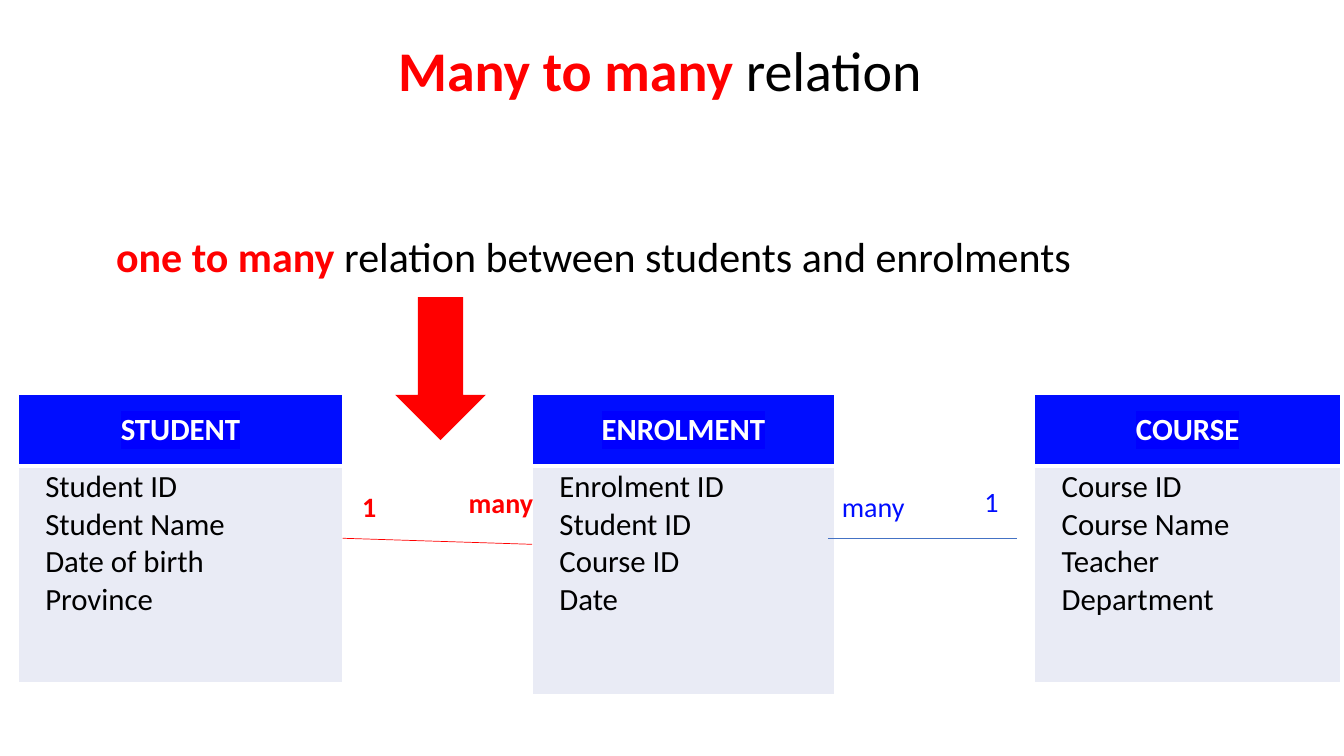
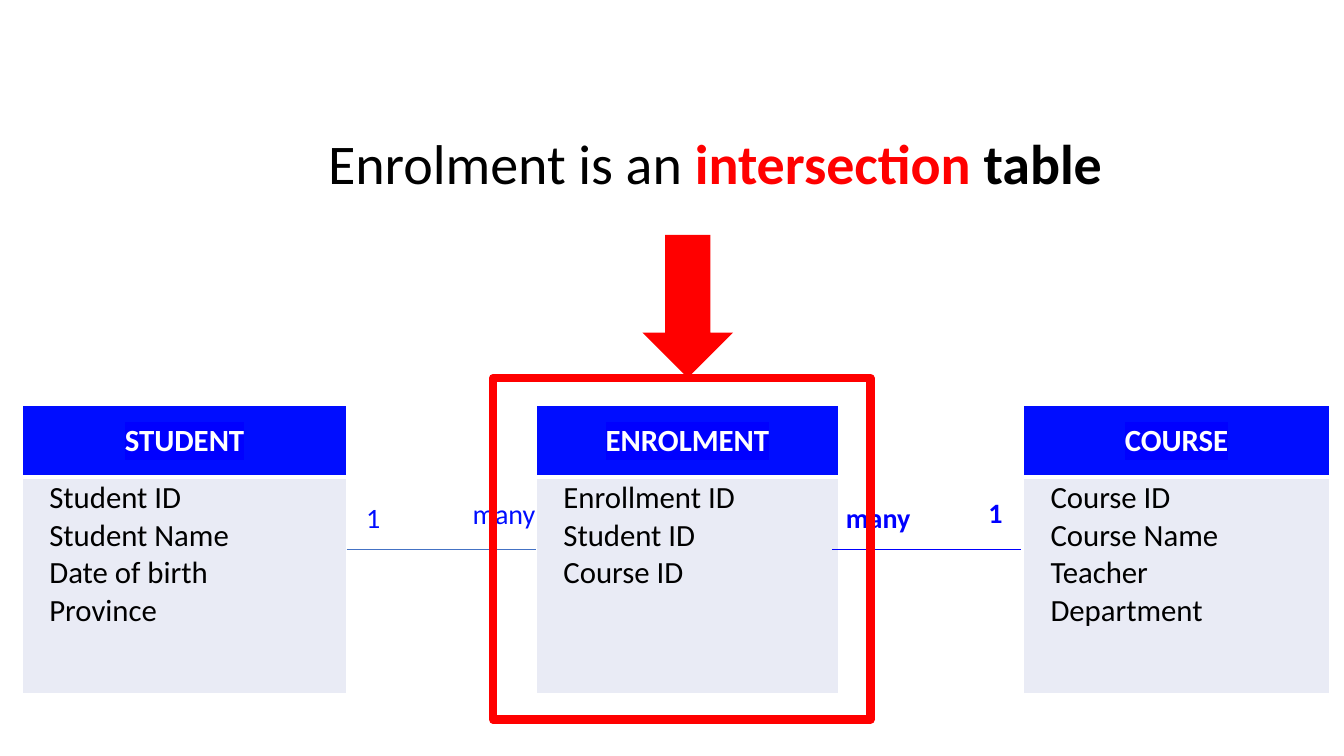
from lxml.etree import SubElement
from pptx import Presentation
from pptx.dml.color import RGBColor
from pptx.enum.shapes import MSO_CONNECTOR as Connector, MSO_SHAPE as Preset
from pptx.enum.text import MSO_ANCHOR as Anchor, MSO_AUTO_SIZE as AutoSize, PP_ALIGN as Align
from pptx.oxml.ns import qn
from pptx.util import Inches, Pt

WIDTH, HEIGHT = Inches(13.33), Inches(7.5)
TITLE_ONLY = 5

RED = RGBColor(0xFF, 0x00, 0x00)
BLACK = RGBColor(0x00, 0x00, 0x00)
WHITE = RGBColor(0xFF, 0xFF, 0xFF)
BLUE = RGBColor(0x00, 0x0D, 0xFF)
PURE_BLUE = RGBColor(0x00, 0x00, 0xFF)
STEEL = RGBColor(0x44, 0x72, 0xC4)
PALE = RGBColor(0xE9, 0xEB, 0xF5)

TITLE = {"size": Pt(40), "name": "Calibri", "bold": False}
STATEMENT = {**TITLE, "size": Pt(30)}
FIELD = {**TITLE, "size": Pt(22)}
HEADING = {**FIELD, "bold": True}
LABEL = {**TITLE, "size": Pt(20)}

HEADER_CELL = {"margin_left": Inches(0.07), "margin_right": Inches(0.07),
               "margin_top": Inches(0.03), "margin_bottom": Inches(0.03),
               "vertical_anchor": Anchor.MIDDLE}
FIELD_CELL = {**HEADER_CELL, "margin_left": Inches(0.27), "vertical_anchor": Anchor.TOP}

TABLE_TOP, HEADER_HEIGHT, FIELDS_HEIGHT = 52.13, 9.47, 28.67
LINK_TOP, LINK_WIDTH = 71.2, 14.1
LABEL_HEIGHT, MANY_WIDTH, ONE_WIDTH = 5.87, 6.75, 3.15
ARROW_WIDTH, ARROW_HEIGHT = 6.75, 18.93
TITLE_HEIGHT = 10.3

STUDENT_FIELDS = ["Student ID", "Student Name", "Date of birth", "Province"]
COURSE_FIELDS = ["Course ID", "Course Name", "Teacher", "Department"]


def across(share):
    return round(WIDTH * share / 100)


def down(share):
    return round(HEIGHT * share / 100)


def place(left, top, width, height):
    return across(left), down(top), across(width), down(height)


def apply(target, values):
    for name, value in values.items():
        setattr(target, name, value)


def write(paragraph, runs, values, align=Align.LEFT):
    paragraph.alignment = align
    for text, color, *changes in runs:
        run = paragraph.add_run()
        run.text = text
        apply(run.font, values)
        for change in changes:
            apply(run.font, change)
        run.font.color.rgb = color


def highlight(run, color):
    properties = run.font._element
    mark = SubElement(properties, qn("a:highlight"))
    SubElement(mark, qn("a:srgbClr"), val=str(color))
    properties.find(qn("a:latin")).addprevious(mark)


def add_title(slide, box, runs):
    title = slide.shapes.title
    apply(title, dict(zip(("left", "top", "width", "height"), place(*box))))
    apply(title.text_frame, {"word_wrap": True, "auto_size": AutoSize.NONE})
    write(title.text_frame.paragraphs[0], runs, TITLE, Align.CENTER)


def add_text(slide, box, runs, values):
    frame = slide.shapes.add_textbox(*place(*box)).text_frame
    frame.word_wrap = True
    write(frame.paragraphs[0], runs, values)


def format_cell(cell, values, fill, bottom_width):
    apply(cell, values)
    properties = cell._tc.get_or_add_tcPr()
    for side in "LRTB":
        width = Pt(bottom_width if side == "B" else 1)
        line = SubElement(properties, qn(f"a:ln{side}"), w=str(width))
        solid = SubElement(line, qn("a:solidFill"))
        SubElement(solid, qn("a:srgbClr"), val=str(WHITE))
    cell.fill.solid()
    cell.fill.fore_color.rgb = fill


def add_entity(slide, left, top, width, name, fields, fields_height=FIELDS_HEIGHT):
    box = place(left, top, width, HEADER_HEIGHT + fields_height)
    table = slide.shapes.add_table(2, 1, *box).table
    for row, height in zip(table.rows, (HEADER_HEIGHT, fields_height)):
        row.height = down(height)

    header, body = table.cell(0, 0), table.cell(1, 0)
    format_cell(header, HEADER_CELL, BLUE, 3)
    paragraph = header.text_frame.paragraphs[0]
    write(paragraph, [(name, WHITE)], HEADING, Align.CENTER)
    highlight(paragraph.runs[0], PURE_BLUE)

    format_cell(body, FIELD_CELL, PALE, 1)
    frame = body.text_frame
    for index, field in enumerate(fields):
        paragraph = frame.add_paragraph() if index else frame.paragraphs[0]
        write(paragraph, [(field, BLACK)], FIELD)


def add_link(slide, left, top, color, drop=0):
    line = slide.shapes.add_connector(
        Connector.STRAIGHT, across(left), down(top),
        across(left + LINK_WIDTH), down(top + drop))
    apply(line.line, {"width": Pt(0.5)})
    line.line.color.rgb = color
    SubElement(line._element.spPr, qn("a:effectLst"))


def add_arrow(slide, left, top):
    arrow = slide.shapes.add_shape(
        Preset.DOWN_ARROW, *place(left, top, ARROW_WIDTH, ARROW_HEIGHT))
    arrow.shadow.inherit = False
    arrow.fill.solid()
    arrow.fill.fore_color.rgb = RED
    arrow.line.fill.background()


def add_frame(slide, box):
    frame = slide.shapes.add_shape(Preset.RECTANGLE, *place(*box))
    frame.shadow.inherit = False
    frame.fill.background()
    frame.line.color.rgb = RED
    frame.line.width = Pt(6)


def add_diagram(slide, enrolment, course_left, links, shift=(0, 0), enrolment_height=FIELDS_HEIGHT):
    right, lower = shift
    top = TABLE_TOP + lower
    add_entity(slide, 1.35 + right, top, 24.16, "STUDENT", STUDENT_FIELDS)
    add_entity(slide, 39.6 + right, top, 22.5, "ENROLMENT", enrolment, enrolment_height)
    add_entity(slide, course_left, top, 22.8, "COURSE", COURSE_FIELDS)

    ends = [(25.5, (34.13, 63.6), (26.2, 64.13)),
            (61.6, (61.9, 64.13), (72.5, 63.47))]
    for (left, many, one), link in zip(ends, links):
        add_link(slide, left + right, LINK_TOP + lower, link["line"], link.get("drop", 0))
        for text, (x, y), width in (("many", many, MANY_WIDTH), ("1", one, ONE_WIDTH)):
            add_text(slide, (x + right, y + lower, width, LABEL_HEIGHT),
                     [(text, link["label"])], {**LABEL, "bold": link["bold"]})


def add_relation_slide(presentation):
    slide = presentation.slides.add_slide(presentation.slide_layouts[TITLE_ONLY])
    bold = {"bold": True}
    add_title(slide, (26.2, 4, 45.8, TITLE_HEIGHT),
              [("Many to many ", RED, bold), ("relation", BLACK)])
    add_text(slide, (7.9, 29.9, 74.4, 8.1),
             [("one to many ", RED, bold),
              ("relation between students and enrolments", BLACK)], STATEMENT)
    add_diagram(slide, ["Enrolment ID", "Student ID", "Course ID", "Date"], 76.97,
                [{"line": RED, "label": RED, "bold": True, "drop": 0.8},
                 {"line": STEEL, "label": BLUE, "bold": False}],
                enrolment_height=30.27)
    add_arrow(slide, 29.4, 39.3)


def add_intersection_slide(presentation):
    slide = presentation.slides.add_slide(presentation.slide_layouts[TITLE_ONLY])
    bold = {"bold": True}
    add_title(slide, (13.7, 16.27, 79, TITLE_HEIGHT),
              [("Enrolment is an ", BLACK), ("intersection ", RED, bold),
               ("table", BLACK, bold)])
    add_diagram(slide, ["Enrollment ID", "Student ID", "Course ID"], 76.14,
                [{"line": STEEL, "label": BLUE, "bold": False},
                 {"line": PURE_BLUE, "label": PURE_BLUE, "bold": True}],
                shift=(0.3, 1.45))
    add_arrow(slide, 47.8, 31.07)
    add_frame(slide, (36.7, 50, 28.06, 45.2))


def main():
    presentation = Presentation()
    apply(presentation, {"slide_width": WIDTH, "slide_height": HEIGHT})
    add_relation_slide(presentation)
    add_intersection_slide(presentation)
    presentation.save("out.pptx")


if __name__ == "__main__":
    main()
